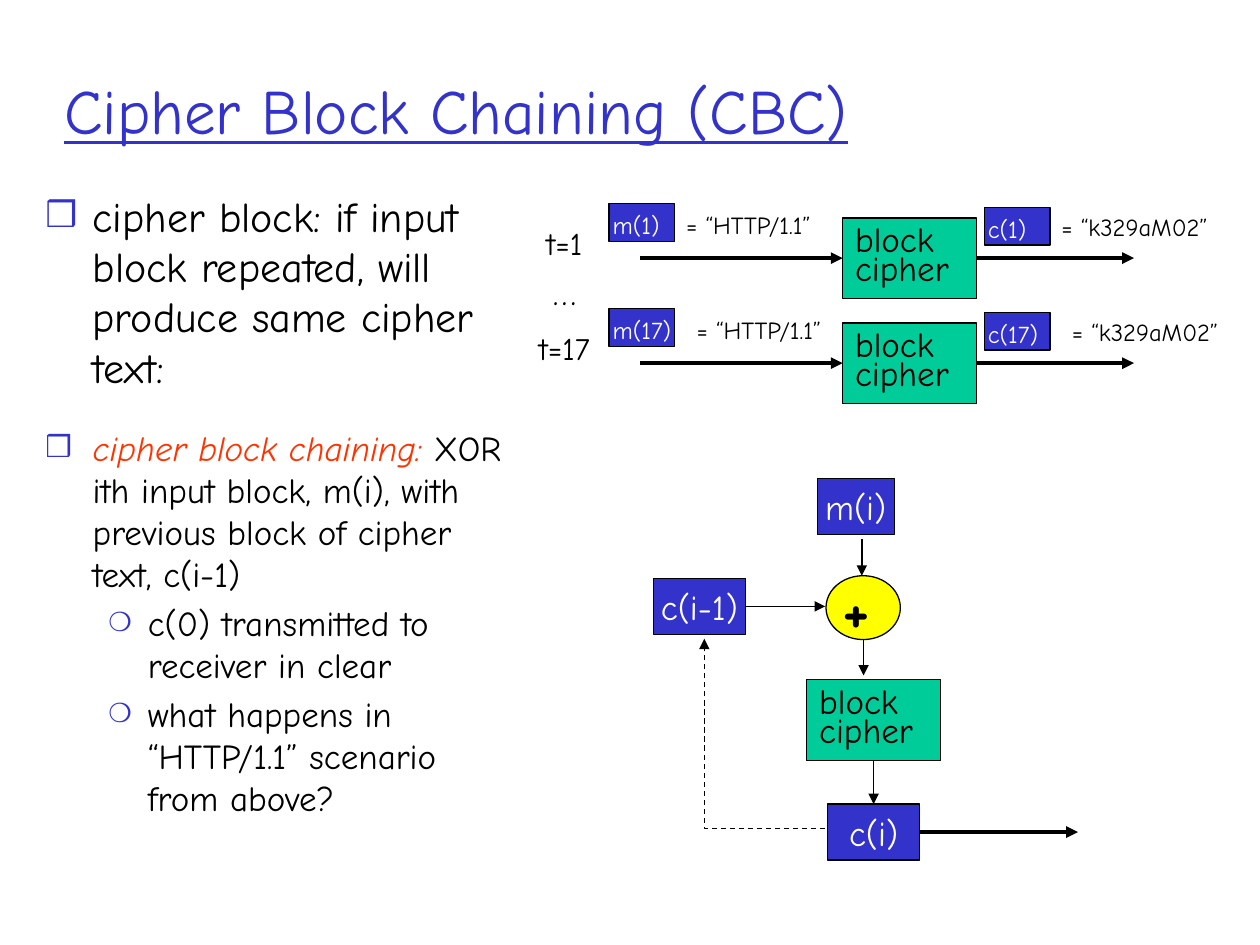
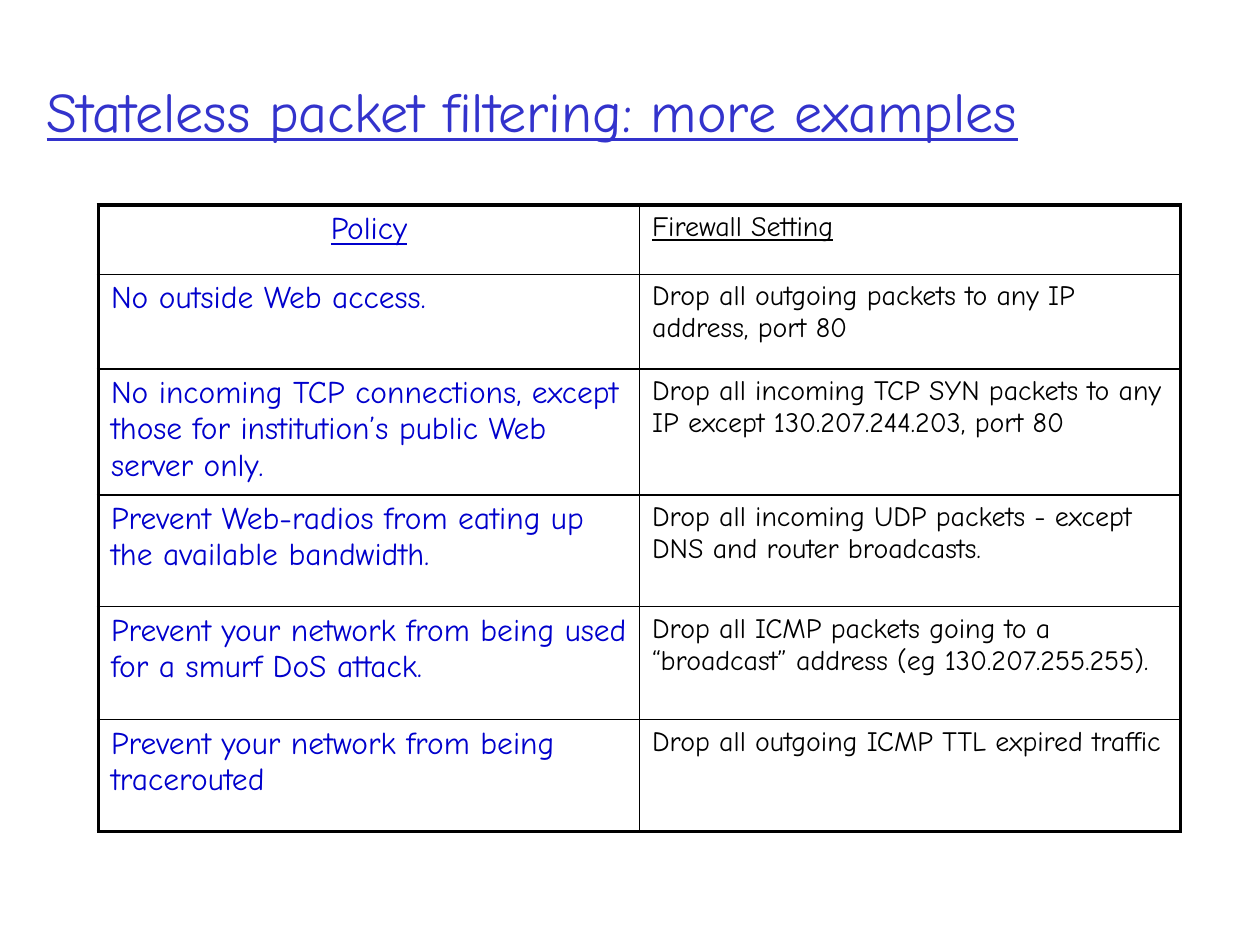
from lxml.etree import SubElement
from pptx import Presentation
from pptx.dml.color import RGBColor
from pptx.enum.dml import MSO_LINE
from pptx.enum.shapes import MSO_CONNECTOR, MSO_SHAPE
from pptx.enum.text import MSO_ANCHOR, MSO_AUTO_SIZE, PP_ALIGN
from pptx.oxml import parse_xml
from pptx.oxml.ns import nsdecls, qn
from pptx.util import Pt

FONT = "Comic Neue"
COLORS = {
    "title": "3333CC",
    "tag": "3333CC",
    "cipher": "00CC99",
    "xor": "FFFF00",
    "accent": "FF3300",
    "policy": "0000CC",
    "ink": "000000",
    "white": "FFFFFF",
}
BULLETS = [("❒", 85, 27, -27), ("❍", 75, 58.5, -22.5)]
TOP, LEFT, BOTTOM, RIGHT = range(4)


def rgb(name):
    return RGBColor.from_string(COLORS[name])


def style(p, size, color="ink", align=PP_ALIGN.LEFT, **flags):
    p.alignment = align
    for r in p.runs:
        r.font.name, r.font.size = FONT, Pt(size)
        r.font.color.rgb = rgb(color)
        for flag, value in flags.items():
            setattr(r.font, flag, value)


def place(sp, x, y, w, h):
    sp.left, sp.top, sp.width, sp.height = Pt(x), Pt(y), Pt(w), Pt(h)


def set_title(s, text, size, x, y, w, h):
    sp = s.shapes.title
    place(sp, x, y, w, h)
    tf = sp.text_frame
    tf.text = text
    tf.vertical_anchor = MSO_ANCHOR.MIDDLE
    tf.auto_size = MSO_AUTO_SIZE.NONE
    style(tf.paragraphs[0], size, "title", underline=True)


def set_bullet(p, level):
    char, percent, margin, indent = BULLETS[level]
    pPr = p._p.get_or_add_pPr()
    pPr.set("marL", str(Pt(margin)))
    pPr.set("indent", str(Pt(indent)))
    clr = SubElement(pPr, qn("a:buClr"))
    SubElement(clr, qn("a:srgbClr"), val=COLORS["title"])
    SubElement(pPr, qn("a:buSzPct"), val=str(percent * 1000))
    SubElement(pPr, qn("a:buChar"), char=char)


def fill_body(sp, items, size, x, y, w, h):
    place(sp, x, y, w, h)
    tf = sp.text_frame
    tf.text = "\n".join(text for _, text in items)
    tf.vertical_anchor = MSO_ANCHOR.TOP
    tf.auto_size = MSO_AUTO_SIZE.NONE
    for p, (level, _) in zip(tf.paragraphs, items):
        p.level = level
        p.space_before = Pt(size * 0.2)
        style(p, size)
        set_bullet(p, level)
    return tf


def add_box(s, x, y, w, h, fill, text, size, color="ink", align=PP_ALIGN.LEFT,
            kind=MSO_SHAPE.RECTANGLE):
    sp = s.shapes.add_shape(kind, Pt(x), Pt(y), Pt(w), Pt(h))
    sp.shadow.inherit = False
    sp.fill.solid()
    sp.fill.fore_color.rgb = rgb(fill)
    sp.line.color.rgb = rgb("ink")
    sp.line.width = Pt(0.75)
    tf = sp.text_frame
    tf.word_wrap = False
    tf.vertical_anchor = MSO_ANCHOR.MIDDLE
    tf.text = text
    for p in tf.paragraphs:
        style(p, size, color, align)
    return sp


def add_cipher(s, x, y):
    sp = add_box(s, x, y, 76.5, 46, "cipher", "block\ncipher", 20)
    for p in sp.text_frame.paragraphs:
        p.line_spacing = 0.7
    return sp


def add_tag(s, x, y, text):
    tf = add_box(s, x, y, 37.5, 21.5, "tag", text, 14, "white").text_frame
    tf.vertical_anchor = MSO_ANCHOR.TOP
    tf.margin_left, tf.margin_right = Pt(2), Pt(0)


def add_label(s, x, y, w, h, text, size, align=PP_ALIGN.LEFT):
    tf = s.shapes.add_textbox(Pt(x), Pt(y), Pt(w), Pt(h)).text_frame
    tf.word_wrap = True
    tf.margin_left = tf.margin_right = 0
    tf.text = text
    style(tf.paragraphs[0], size, align=align)


def set_arrow(sp, width):
    sp.line.color.rgb = rgb("ink")
    sp.line.width = Pt(width)
    SubElement(sp.line._get_or_add_ln(), qn("a:tailEnd"), type="triangle")


def add_arrow(s, x1, y1, x2, y2, width=0.75, begin=None, end=None):
    sp = s.shapes.add_connector(MSO_CONNECTOR.STRAIGHT, Pt(x1), Pt(y1), Pt(x2), Pt(y2))
    if begin:
        sp.begin_connect(*begin)
    if end:
        sp.end_connect(*end)
    set_arrow(sp, width)
    SubElement(sp._element.spPr, qn("a:effectLst"))


def cipher_row(s, x, y, n, shift):
    add_label(s, x, y + 8, 51, 29, f"t={n}", 18, PP_ALIGN.CENTER)
    add_tag(s, x + 51, y, f"m({n})")
    add_label(s, x + 95 + shift, y, 85, 24, "= “HTTP/1.1”", 14)
    cipher = add_cipher(s, x + 184.5, y + 8)
    add_arrow(s, x + 69, y + 31, x + 184.5, y + 31, 2.25, end=(cipher, LEFT))
    add_tag(s, x + 265.5, y + 2, f"c({n})")
    add_label(s, x + 309.5 + shift, y + 1, 100, 24, "= “k329aM02”", 14)
    add_arrow(s, x + 261, y + 31, x + 351, y + 31, 2.25, begin=(cipher, RIGHT))


def chain_diagram(s, x, y):
    def tag(dx, dy, w, h, text):
        return add_box(s, x + dx, y + dy, w, h, "tag", text, 20, "white", PP_ALIGN.CENTER)

    tag(93.5, 0, 44, 32, "m(i)")
    previous = tag(0, 57, 52.5, 32, "c(i-1)")
    current = tag(99.5, 186, 52.5, 32, "c(i)")
    cipher = add_cipher(s, x + 87.5, y + 115)
    xor = add_box(s, x + 98.5, y + 55.5, 42.5, 36.5, "xor", "+", 36,
                  align=PP_ALIGN.CENTER, kind=MSO_SHAPE.OVAL)
    xor.text_frame.paragraphs[0].runs[0].font.bold = True
    xor.text_frame.margin_left, xor.text_frame.margin_right = Pt(0), Pt(8)

    add_arrow(s, x + 119, y + 34.5, x + 119, y + 55.5)
    add_arrow(s, x + 52.5, y + 73, x + 98, y + 73, begin=(previous, RIGHT))
    add_arrow(s, x + 120, y + 92, x + 120, y + 112.5)
    add_arrow(s, x + 125.75, y + 161, x + 125.75, y + 186,
              begin=(cipher, BOTTOM), end=(current, TOP))
    add_arrow(s, x + 152, y + 202, x + 242.5, y + 202, 2.25, begin=(current, RIGHT))

    fb = s.shapes.build_freeform(Pt(x + 98), Pt(y + 200))
    fb.add_line_segments([(Pt(x + 29), Pt(y + 200)), (Pt(x + 29), Pt(y + 91.5))], close=False)
    feedback = fb.convert_to_shape()
    feedback.shadow.inherit = False
    feedback.fill.background()
    feedback.line.dash_style = MSO_LINE.DASH
    set_arrow(feedback, 0.75)


def chaining_slide(prs):
    s = prs.slides.add_slide(prs.slide_layouts[3])
    set_title(s, "Cipher Block Chaining (CBC)", 36, 29.5, 17.5, 624, 90)
    fill_body(s.placeholders[1], [
        (0, "cipher block: if input block repeated, will produce same cipher text:"),
    ], 24, 18.75, 105, 278, 137.5)
    tf = fill_body(s.placeholders[2], [
        (0, "cipher block chaining:"),
        (1, "c(0) transmitted to receiver in clear"),
        (1, "what happens in “HTTP/1.1” scenario from above?"),
    ], 20, 18.75, 240, 285, 137.5)
    p = tf.paragraphs[0]
    r = p.add_run()
    r.text = " XOR ith input block, m(i), with previous block of cipher text, c(i-1)"
    style(p, 20)
    p.runs[0].font.italic = True
    p.runs[0].font.color.rgb = rgb("accent")

    for i, n in enumerate((1, 17)):
        cipher_row(s, 297, 116.5 + 60 * i, n, 6 * i)
    add_label(s, 297, 151, 51, 36, "…", 20, PP_ALIGN.CENTER)
    chain_diagram(s, 373.5, 273.5)


def set_borders(cell, widths):
    tcPr = cell._tc.get_or_add_tcPr()
    for i, (side, width) in enumerate(zip("LRTB", widths)):
        tcPr.insert(i, parse_xml(
            f'<a:ln{side} {nsdecls("a")} w="{Pt(width)}"><a:solidFill>'
            f'<a:srgbClr val="{COLORS["ink"]}"/></a:solidFill></a:ln{side}>'))


def policy_table(s, rows, heights, x, y, w):
    sp = s.shapes.add_table(len(rows), 2, Pt(x), Pt(y), Pt(w), Pt(sum(heights)))
    table = sp.table
    table.first_row = table.horz_banding = False
    last = len(rows) - 1
    for i, (row, height) in enumerate(zip(rows, heights)):
        table.rows[i].height = Pt(height)
        for j, text in enumerate(row):
            cell = table.cell(i, j)
            cell.text = text
            cell.fill.background()
            align = PP_ALIGN.CENTER if i == j == 0 else PP_ALIGN.LEFT
            style(cell.text_frame.paragraphs[0], (18, 16)[j], ("policy", "ink")[j],
                  align, underline=i == 0)
            outer = (j == 0, j == 1, i == 0, i == last)
            set_borders(cell, [2.25 if edge else 1 for edge in outer])


def filtering_slide(prs):
    s = prs.slides.add_slide(prs.slide_layouts[5])
    set_title(s, "Stateless packet filtering: more examples", 32, 19.5, 18, 659.5, 90)
    rows = [
        ("Policy", "Firewall Setting"),
        ("No outside Web access.", "Drop all outgoing packets to any IP address, port 80"),
        ("No incoming TCP connections, except those for institution’s public Web server only.",
         "Drop all incoming TCP SYN packets to any IP except 130.207.244.203, port 80"),
        ("Prevent Web-radios from eating up the available bandwidth.",
         "Drop all incoming UDP packets - except DNS and router broadcasts."),
        ("Prevent your network from being used for a smurf DoS attack.",
         "Drop all ICMP packets going to a “broadcast” address (eg 130.207.255.255)."),
        ("Prevent your network from being tracerouted",
         "Drop all outgoing ICMP TTL expired traffic"),
    ]
    policy_table(s, rows, (39.5, 54, 72, 64, 64.5, 64), 56.25, 117.25, 618.5)


def main():
    prs = Presentation()
    prs.slide_width, prs.slide_height = Pt(720), Pt(540)
    chaining_slide(prs)
    filtering_slide(prs)
    prs.save("out.pptx")


if __name__ == "__main__":
    main()
